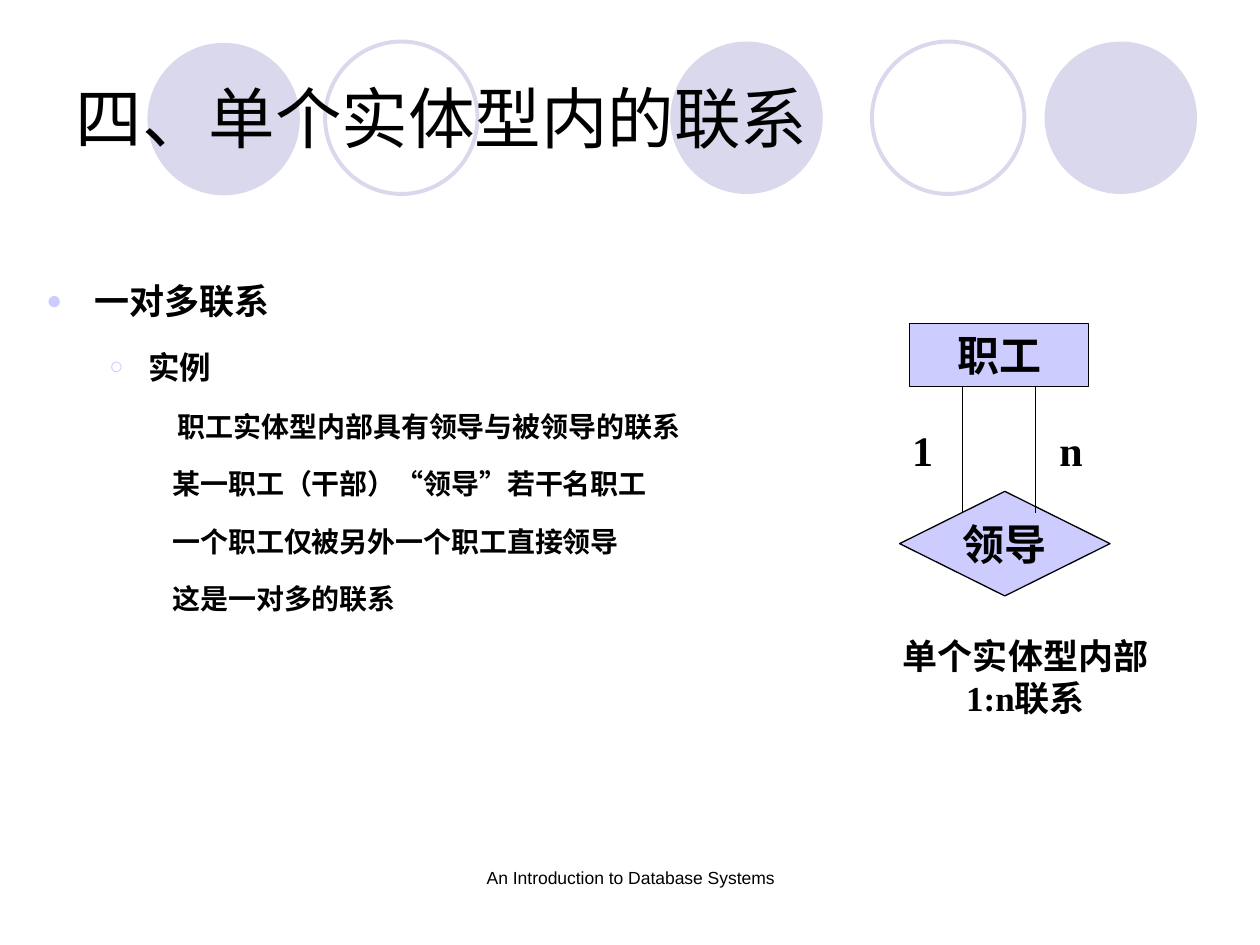
from dataclasses import dataclass

from lxml import etree
from pptx import Presentation
from pptx import util as u
from pptx.dml.color import RGBColor
from pptx.enum import shapes, text
from pptx.oxml import ns


@dataclass(frozen=True)
class Theme:
    ink: RGBColor = RGBColor(0x00, 0x00, 0x00)
    circle: RGBColor = RGBColor(0xD9, 0xD8, 0xEC)
    accent: RGBColor = RGBColor(0xCC, 0xCC, 0xFF)
    sans: str = "Arial"
    serif: str = "Times New Roman"
    title: float = 38
    node: float = 24
    heading: float = 20
    subheading: float = 18
    detail: float = 16
    lead: float = 14
    footer: float = 10
    thin: float = 0.75
    ring: float = 2.25


THEME = Theme()
CENTER = text.PP_ALIGN.CENTER
LEFT = text.PP_ALIGN.LEFT


def inches(*lengths):
    return [u.Inches(length) for length in lengths]


def add_span(para, words, size, font=THEME.sans, bold=False, italic=False):
    span = para.add_run()
    span.text = words
    span.font.size = u.Pt(size)
    span.font.name = font
    span.font.bold = bold
    span.font.italic = italic
    span.font.color.rgb = THEME.ink


def fill_frame(frame, words, size, font=THEME.serif, bold=True, align=CENTER,
               before=0, anchor=text.MSO_ANCHOR.TOP, wrap=True):
    frame.word_wrap = wrap
    frame.auto_size = text.MSO_AUTO_SIZE.NONE
    frame.vertical_anchor = anchor
    para = frame.paragraphs[0]
    para.alignment = align
    para.space_before = u.Pt(before)
    add_span(para, words, size, font, bold)


def add_label(page, place, words, size, **style):
    box = page.shapes.add_textbox(*inches(*place))
    fill_frame(box.text_frame, words, size, **style)


def add_circle(page, left, top, filled):
    circle = page.shapes.add_shape(
        shapes.MSO_SHAPE.OVAL, *inches(left, top, 1.21, 1.21))
    circle.shadow.inherit = False
    if filled:
        circle.fill.solid()
        circle.fill.fore_color.rgb = THEME.circle
        circle.line.fill.background()
    else:
        circle.fill.background()
        circle.line.color.rgb = THEME.circle
        circle.line.width = u.Pt(THEME.ring)


def add_node(page, kind, place, words, **style):
    node = page.shapes.add_shape(kind, *inches(*place))
    node.shadow.inherit = False
    node.fill.solid()
    node.fill.fore_color.rgb = THEME.accent
    node.line.color.rgb = THEME.ink
    node.line.width = u.Pt(THEME.thin)
    fill_frame(node.text_frame, words, THEME.node, **style)


def add_link(page, x, top, bottom):
    link = page.shapes.add_connector(
        shapes.MSO_CONNECTOR.STRAIGHT, *inches(x, top, x, bottom))
    link.line.color.rgb = THEME.ink
    link.line.width = u.Pt(THEME.thin)
    etree.SubElement(link._element.spPr, ns.qn("a:effectLst"))


def set_bullet(para, mark, margin, indent):
    props = para._p.get_or_add_pPr()
    props.set("marL", str(u.Inches(margin)))
    props.set("indent", str(u.Inches(indent)))
    if not mark:
        etree.SubElement(props, ns.qn("a:buNone"))
        return
    color = etree.SubElement(props, ns.qn("a:buClr"))
    etree.SubElement(color, ns.qn("a:srgbClr"), val=str(THEME.accent))
    etree.SubElement(props, ns.qn("a:buSzPct"), val="75000")
    etree.SubElement(props, ns.qn("a:buFont"), typeface=THEME.sans)
    etree.SubElement(props, ns.qn("a:buChar"), char=mark)


def add_outline(page, place, items):
    levels = [
        ("●", 0.38, -0.38, 5, THEME.heading),
        ("○", 0.81, -0.31, 4.5, THEME.subheading),
        (None, 1.25, -0.25, 4, THEME.detail),
    ]
    frame = page.shapes.add_textbox(*inches(*place)).text_frame
    frame.word_wrap = True
    for index, (level, lead, words) in enumerate(items):
        mark, margin, indent, before, size = levels[level]
        para = frame.add_paragraph() if index else frame.paragraphs[0]
        para.level = level
        para.line_spacing = 1.5
        para.space_before = u.Pt(before)
        set_bullet(para, mark, margin, indent)
        if lead:
            add_span(para, lead, THEME.lead, bold=True, italic=True)
        add_span(para, words, size, bold=True)


def set_title(page, words):
    title = page.shapes.title
    title.left, title.top, title.width, title.height = inches(0.5, 0.3, 9, 1.25)
    fill_frame(title.text_frame, words, THEME.title, font=THEME.sans,
               bold=False, align=LEFT, anchor=text.MSO_ANCHOR.MIDDLE)


def add_diagram(page):
    add_node(page, shapes.MSO_SHAPE.RECTANGLE, (7.22, 2.57, 1.42, 0.5),
             "职工", before=15)
    add_node(page, shapes.MSO_SHAPE.DIAMOND, (7.14, 3.9, 1.67, 0.83),
             "领导", anchor=text.MSO_ANCHOR.MIDDLE, wrap=False)
    for link_x, label_x, words in [(7.64, 7.14, "1"), (8.22, 8.31, "n")]:
        add_link(page, link_x, 3.07, 4.07)
        add_label(page, (label_x, 3.32, 0.42, 0.5), words, THEME.node,
                  align=LEFT, before=15)
    add_label(page, (6.89, 4.99, 2.5, 0.77), "单个实体型内部1:n联系",
              THEME.heading, before=12.5)


def main():
    deck = Presentation()
    deck.slide_width, deck.slide_height = inches(10, 7.5)
    page = deck.slides.add_slide(deck.slide_layouts[5])

    for left, top, filled in [(1.17, 0.34, True), (2.58, 0.33, False),
                              (5.32, 0.33, True), (6.92, 0.33, False),
                              (8.29, 0.33, True)]:
        add_circle(page, left, top, filled)
    title = page.shapes.title._element
    title.getparent().append(title)
    set_title(page, "四、单个实体型内的联系")

    add_outline(page, (0.27, 2, 6.48, 4.75), [
        (0, "", "一对多联系"),
        (1, "", "实例"),
        (2, " ", "职工实体型内部具有领导与被领导的联系"),
        (2, "", "某一职工（干部）“领导”若干名职工"),
        (2, "", "一个职工仅被另外一个职工直接领导"),
        (2, "", "这是一对多的联系"),
    ])
    add_diagram(page)
    add_label(page, (3.42, 6.83, 3.17, 0.5),
              "An Introduction to Database Systems", THEME.footer,
              font=THEME.sans, bold=False)
    deck.save("out.pptx")


if __name__ == "__main__":
    main()
